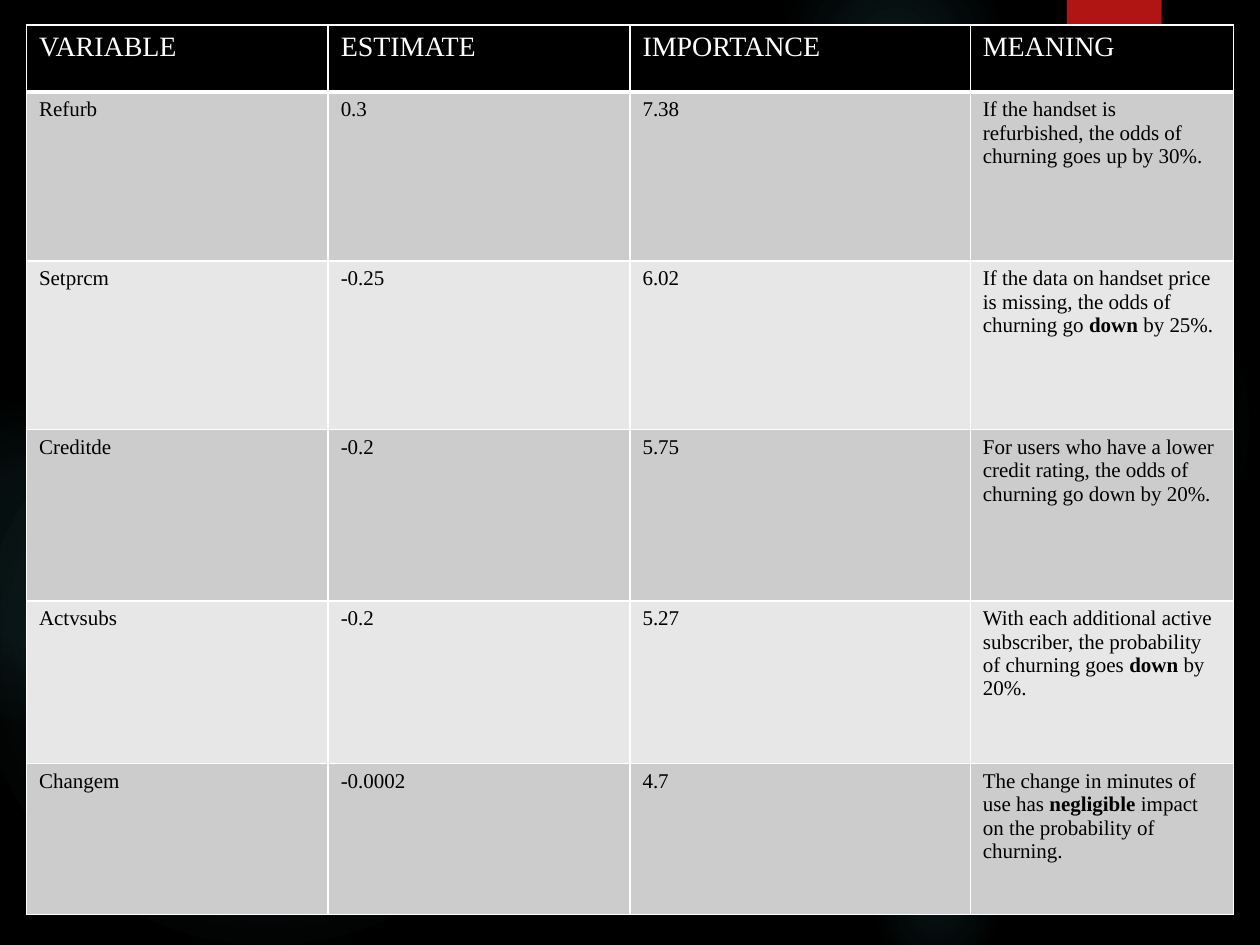
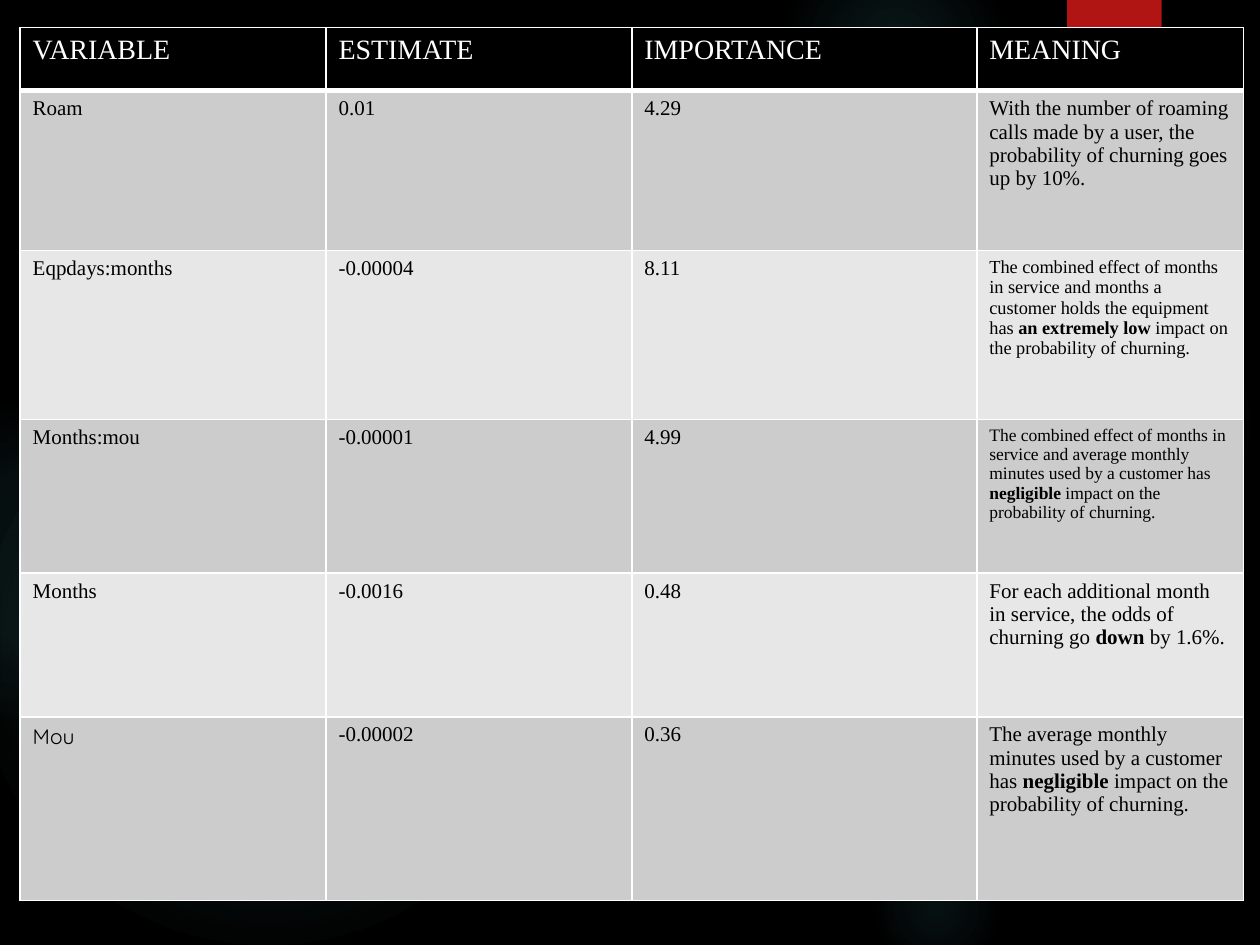
"""Build two slides of churn-model variables, each a full-page table on a glowing dark background."""
import dataclasses

import lxml.etree
import pptx
import pptx.dml.color
import pptx.enum.shapes
import pptx.oxml
import pptx.oxml.ns
import pptx.util


@dataclasses.dataclass(frozen=True)
class Theme:
    background: str = "000000"
    glow: str = "50B9C1"
    ribbon: str = "B01513"
    border: str = "FFFFFF"
    header_fill: str = "000000"
    header_text: str = "FFFFFF"
    body_text: str = "000000"
    bands: tuple = ("CCCCCC", "E7E7E7")
    font: str = "Times New Roman"
    accent_font: str = "Quicksand"
    header_size: float = 16
    body_size: float = 12


theme = Theme()
rgb = pptx.dml.color.RGBColor.from_string
shapes_enum = pptx.enum.shapes.MSO_SHAPE
namespace = pptx.oxml.ns.nsdecls("a")


def write_text(cell, text, size=theme.body_size, font=theme.font, color=theme.body_text):
    """Fill a cell with text, setting the parts between ** marks in bold."""
    paragraph = cell.text_frame.paragraphs[0]
    for index, part in enumerate(text.split("**")):
        run = paragraph.add_run()
        run.text = part
        run.font.size = pptx.util.Pt(size)
        run.font.name = font
        run.font.bold = index % 2 == 1
        run.font.color.rgb = rgb(color)


def add_border(cell, side, width):
    """Draw one side of a cell's border."""
    line = lxml.etree.SubElement(
        cell._tc.get_or_add_tcPr(), pptx.oxml.ns.qn(f"a:ln{side}"), w=str(pptx.util.Pt(width)))
    line.append(pptx.oxml.parse_xml(
        f'<a:solidFill {namespace}><a:srgbClr val="{theme.border}"/></a:solidFill>'))


headings = ("VARIABLE", "ESTIMATE", "IMPORTANCE", "MEANING")
column_shares = (0.25, 0.25, 0.282, 0.218)

glows = [
    (6.89, 1.83, 3.08, ((0, 7), (36, 6), (69, 0))),
    (6.22, -0.5, 1.75, ((0, 14), (36, 7), (73, 0))),
    (6.89, 6.67, 1.08, ((0, 9), (36, 5), (66, 0))),
    (-0.17, 2.92, 4.58, ((0, 11), (36, 10), (75, 0))),
    (-0.92, 3.17, 2.58, ((0, 8), (36, 8), (72, 0))),
]

pages = [
    {
        "frame": (0.21, 0.2, 9.58),
        "row_heights": (0.53, 1.34, 1.34, 1.36, 1.29, 1.2),
        "rows": [
            ("Refurb", "0.3", "7.38",
             "If the handset is refurbished, the odds of churning goes up by 30%."),
            ("Setprcm", "-0.25", "6.02",
             "If the data on handset price is missing, the odds of churning go **down** by 25%."),
            ("Creditde", "-0.2", "5.75",
             "For users who have a lower credit rating, the odds of churning go down by 20%."),
            ("Actvsubs", "-0.2", "5.27",
             "With each additional active subscriber, the probability of churning goes "
             "**down** by 20%."),
            ("Changem", "-0.0002", "4.7",
             "The change in minutes of use has **negligible **impact on the probability "
             "of churning."),
        ],
    },
    {
        "frame": (0.16, 0.22, 9.71),
        "row_heights": (0.5, 1.27, 1.34, 1.22, 1.14, 1.46),
        "rows": [
            ("Roam", "0.01", "4.29",
             "With the number of roaming calls made by a user, the probability of churning "
             "goes up by 10%."),
            ("Eqpdays:months", "-0.00004", "8.11",
             "The combined effect of months in service and months a customer holds the "
             "equipment has **an extremely low** impact on the probability of churning."),
            ("Months:mou", "-0.00001", "4.99",
             "The combined effect of months in service and average monthly minutes used by "
             "a customer has **negligible** impact on the probability of churning."),
            ("Months", "-0.0016", "0.48",
             "For each additional month in service, the odds of churning go **down** by 1.6%."),
            ("Mou", "-0.00002", "0.36",
             "The average monthly minutes used by a customer has **negligible** impact on "
             "the probability of churning."),
        ],
    },
]

cell_formats = {
    ("Eqpdays:months", "MEANING"): {"size": 10.5},
    ("Months:mou", "MEANING"): {"size": 10},
    ("Mou", "VARIABLE"): {"font": theme.accent_font},
}

presentation = pptx.Presentation()
presentation.slide_width = pptx.util.Inches(10)
presentation.slide_height = pptx.util.Inches(7.5)
unit = presentation.slide_width // 10
background = presentation.slide_master.background.fill
background.solid()
background.fore_color.rgb = rgb(theme.background)
blank_layout = presentation.slide_layouts[6]

for page in pages:
    slide = presentation.slides.add_slide(blank_layout)

    for left, top, diameter, stops in glows:
        glow = slide.shapes.add_shape(
            shapes_enum.OVAL, *(int(unit * length) for length in (left, top, diameter, diameter)))
        glow.shadow.inherit = False
        glow.line.fill.background()
        stop_xml = "".join(
            f'<a:gs pos="{position * 1000}"><a:srgbClr val="{theme.glow}">'
            f'<a:alpha val="{opacity * 1000}"/></a:srgbClr></a:gs>'
            for position, opacity in stops)
        glow._element.spPr.find(pptx.oxml.ns.qn("a:prstGeom")).addnext(pptx.oxml.parse_xml(
            f'<a:gradFill {namespace}><a:gsLst>{stop_xml}</a:gsLst><a:path path="circle">'
            '<a:fillToRect l="50000" t="50000" r="50000" b="50000"/></a:path></a:gradFill>'))

    ribbon = slide.shapes.add_shape(
        shapes_enum.RECTANGLE, *(int(unit * length) for length in (8.47, 0, 0.75, 1.2)))
    ribbon.shadow.inherit = False
    ribbon.fill.solid()
    ribbon.fill.fore_color.rgb = rgb(theme.ribbon)
    ribbon.line.fill.background()
    ribbon._element.spPr.find(pptx.oxml.ns.qn("a:effectLst")).append(pptx.oxml.parse_xml(
        f'<a:outerShdw {namespace} blurRad="{pptx.util.Pt(3)}" dist="{pptx.util.Pt(2)}" '
        'dir="5400000" rotWithShape="0"><a:srgbClr val="000000"><a:alpha val="45000"/>'
        '</a:srgbClr></a:outerShdw>'))

    left, top, width = page["frame"]
    row_heights = page["row_heights"]
    table = slide.shapes.add_table(
        len(row_heights), len(headings),
        *(int(unit * length) for length in (left, top, width, sum(row_heights)))).table
    table.horz_banding = False
    for column, share in zip(table.columns, column_shares):
        column.width = int(unit * width * share)
    for row, height in zip(table.rows, row_heights):
        row.height = int(unit * height)

    for row_index, values in enumerate([headings] + page["rows"]):
        is_header = row_index == 0
        fill_color = theme.header_fill if is_header else theme.bands[(row_index - 1) % 2]
        for column_index, text in enumerate(values):
            cell = table.cell(row_index, column_index)
            for side in "LRTB":
                add_border(cell, side, 3 if is_header and side == "B" else 1)
            cell.fill.solid()
            cell.fill.fore_color.rgb = rgb(fill_color)
            if is_header:
                write_text(cell, text, size=theme.header_size, color=theme.header_text)
            else:
                write_text(cell, text, **cell_formats.get((values[0], headings[column_index]), {}))

presentation.save("out.pptx")
